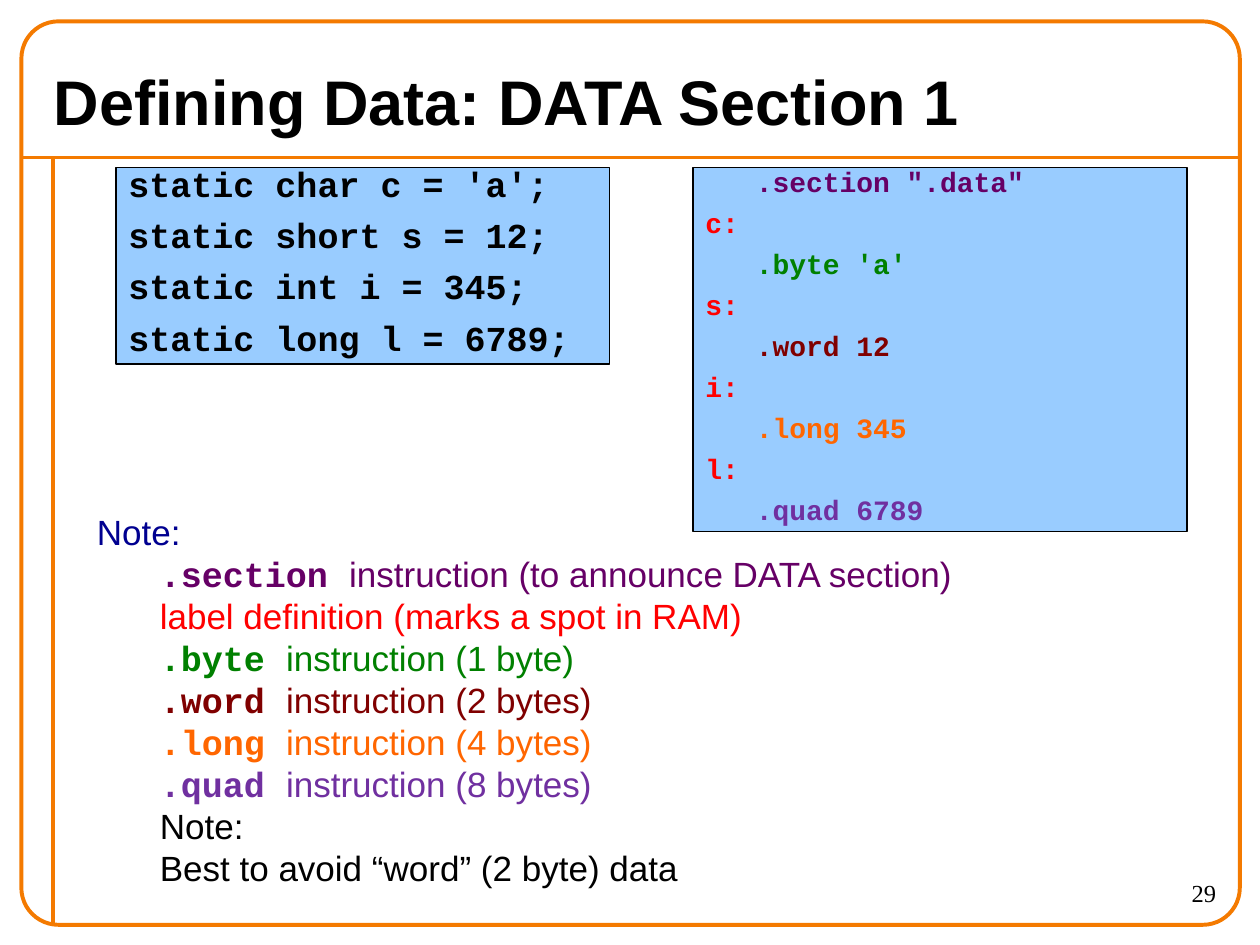
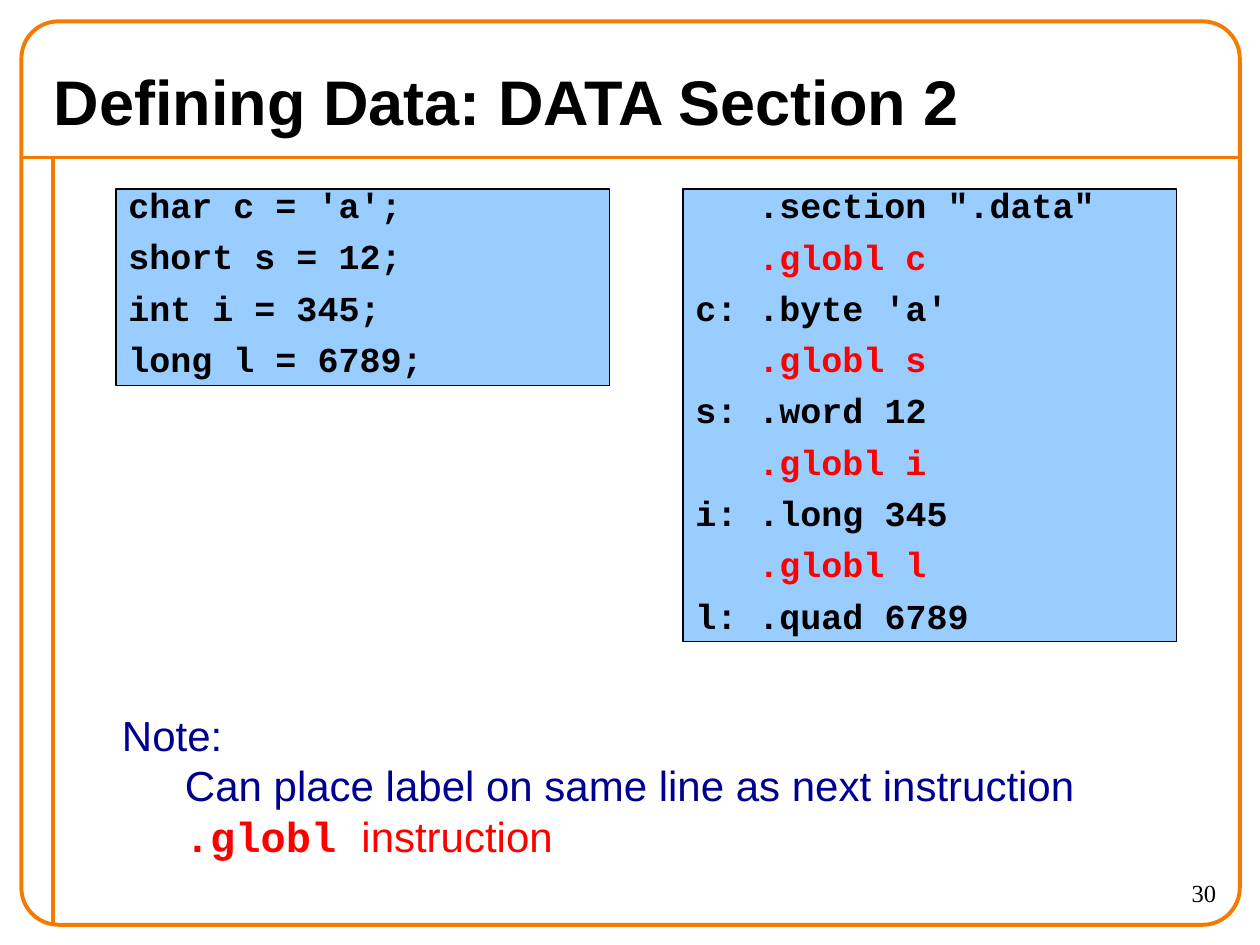
from lxml import etree
from pptx import Presentation
from pptx.dml.color import RGBColor
from pptx.enum.shapes import MSO_CONNECTOR as CONNECTOR, MSO_SHAPE as SHAPE
from pptx.enum.text import MSO_ANCHOR as ANCHOR, PP_ALIGN as ALIGN
from pptx.oxml.ns import qn
from pptx.util import Inches, Pt

BLACK, RED, NAVY = "000000", "FF0000", "000090"
PURPLE, GREEN, MAROON = "660066", "008000", "800000"
ORANGE, VIOLET = "FF6600", "7030A0"
FRAME, CODE_FILL = "F47A00", "99CCFF"
SANS, MONO, SERIF = "Arial", "Courier New", "Times New Roman"
CODE_INDENT = 1.8  # width of three monospaced characters, in font sizes


def rgb(value):
    return RGBColor.from_string(value)


def style(span, font, size, color, bold=False):
    span.font.name = font
    span.font.size = Pt(size)
    span.font.color.rgb = rgb(color)
    span.font.bold = bold


def add_span(para, text, *look):
    span = para.add_run()
    span.text = text
    style(span, *look)


def set_indent(para, length):
    props = para._p.get_or_add_pPr()
    props.set("marL", str(int(length)))
    props.set("indent", "0")


def paragraphs(frame, lines):
    """Pair each line with a paragraph, adding paragraphs as needed."""
    for index, line in enumerate(lines):
        yield (frame.add_paragraph() if index else frame.paragraphs[0]), line


def add_textbox(page, left, top, width, height):
    box = page.shapes.add_textbox(*map(Inches, (left, top, width, height)))
    box.text_frame.word_wrap = True
    return box.text_frame


def add_rule(page, *ends):
    rule = page.shapes.add_connector(CONNECTOR.STRAIGHT, *map(Inches, ends))
    rule.line.color.rgb = rgb(FRAME)
    rule.line.width = Pt(2.25)
    etree.SubElement(rule._element.spPr, qn("a:effectLst"))


def add_frame(page, left=0.17, top=0.17, width=9.67, height=7.17):
    # Two rules and the rounded border around the page
    head = top + 1.08
    add_rule(page, left, head, left + width, head)
    add_rule(page, left + 0.25, head, left + 0.25, top + height)
    border = page.shapes.add_shape(
        SHAPE.ROUNDED_RECTANGLE, *map(Inches, (left, top, width, height)))
    border.adjustments[0] = 0.041
    border.shadow.inherit = False
    border.fill.background()
    border.line.color.rgb = rgb(FRAME)
    border.line.width = Pt(2.25)


def add_page(deck, title, number):
    page = deck.slides.add_slide(deck.slide_layouts[6])
    add_frame(page)

    # Title
    frame = add_textbox(page, 0.33, 0.42, 9.33, 0.75)
    frame.vertical_anchor = ANCHOR.MIDDLE
    add_span(frame.paragraphs[0], title, SANS, 36, BLACK, True)

    # Page number
    para = add_textbox(page, 8.75, 6.92, 1, 0.42).paragraphs[0]
    para.alignment = ALIGN.RIGHT
    add_span(para, str(number), SERIF, 14, BLACK)
    return page


def add_code(page, left, top, height, lines, size=20):
    """Lines are (text, color); those starting with a dot are indented."""
    box = page.shapes.add_shape(
        SHAPE.RECTANGLE, *map(Inches, (left, top, 3.92, height)))
    box.shadow.inherit = False
    box.fill.solid()
    box.fill.fore_color.rgb = rgb(CODE_FILL)
    box.line.color.rgb = rgb(BLACK)
    box.line.width = Pt(0.75)
    frame = box.text_frame
    frame.word_wrap = True
    frame.vertical_anchor = ANCHOR.TOP
    for para, (text, color) in paragraphs(frame, lines):
        para.alignment = ALIGN.LEFT
        para.line_spacing = 0.7
        para.space_before = Pt(size * 0.625)
        if text.startswith("."):
            set_indent(para, Pt(size * CODE_INDENT))
        add_span(para, text, MONO, size, color, True)


def add_notes(page, left, top, width, height, size, lines):
    """Lines are (directive, text, color) below the heading."""
    frame = add_textbox(page, left, top, width, height)
    heading = ("", "Note:", NAVY)
    for para, line in paragraphs(frame, [heading, *lines]):
        directive, text, color = line
        if line is not heading:
            set_indent(para, Inches(0.5))
        if directive:
            add_span(para, directive + " ", MONO, size, color, True)
        add_span(para, text, SANS, size, color)


def black(*lines):
    return [(line, BLACK) for line in lines]


def build_static_data(deck):
    page = add_page(deck, "Defining Data: DATA Section 1", 29)
    add_code(page, 0.92, 1.33, 1.56, black(
        "static char c = 'a';", "static short s = 12;",
        "static int i = 345;", "static long l = 6789;"))
    add_code(page, 5.5, 1.33, 2.89, [
        ('.section ".data"', PURPLE),
        ("c:", RED), (".byte 'a'", GREEN),
        ("s:", RED), (".word 12", MAROON),
        ("i:", RED), (".long 345", ORANGE),
        ("l:", RED), (".quad 6789", VIOLET)], size=16)
    add_notes(page, 0.67, 4, 7.2, 3.1, 20, [
        (".section", "instruction (to announce DATA section)", PURPLE),
        ("", "label definition (marks a spot in RAM)", RED),
        (".byte", "instruction (1 byte)", GREEN),
        (".word", "instruction (2 bytes)", MAROON),
        (".long", "instruction (4 bytes)", ORANGE),
        (".quad", "instruction (8 bytes)", VIOLET),
        ("", "Note:", BLACK),
        ("", "Best to avoid “word” (2 byte) data", BLACK)])


def build_global_data(deck):
    page = add_page(deck, "Defining Data: DATA Section 2", 30)
    add_code(page, 0.92, 1.5, 1.56, black(
        "char c = 'a';", "short s = 12;", "int i = 345;", "long l = 6789;"))
    assembly = black('.section ".data"')
    for label, directive in (("c", ".byte 'a'"), ("s", ".word 12"),
                             ("i", ".long 345"), ("l", ".quad 6789")):
        assembly += [(f".globl {label}", RED), (f"{label}: {directive}", BLACK)]
    add_code(page, 5.42, 1.5, 3.59, assembly)
    add_notes(page, 0.87, 5.58, 7.9, 1.3, 24, [
        ("", "Can place label on same line as next instruction", NAVY),
        (".globl", "instruction", RED)])


def main():
    deck = Presentation()
    deck.slide_width, deck.slide_height = Inches(10), Inches(7.5)
    build_static_data(deck)
    build_global_data(deck)
    deck.save("out.pptx")


if __name__ == "__main__":
    main()
